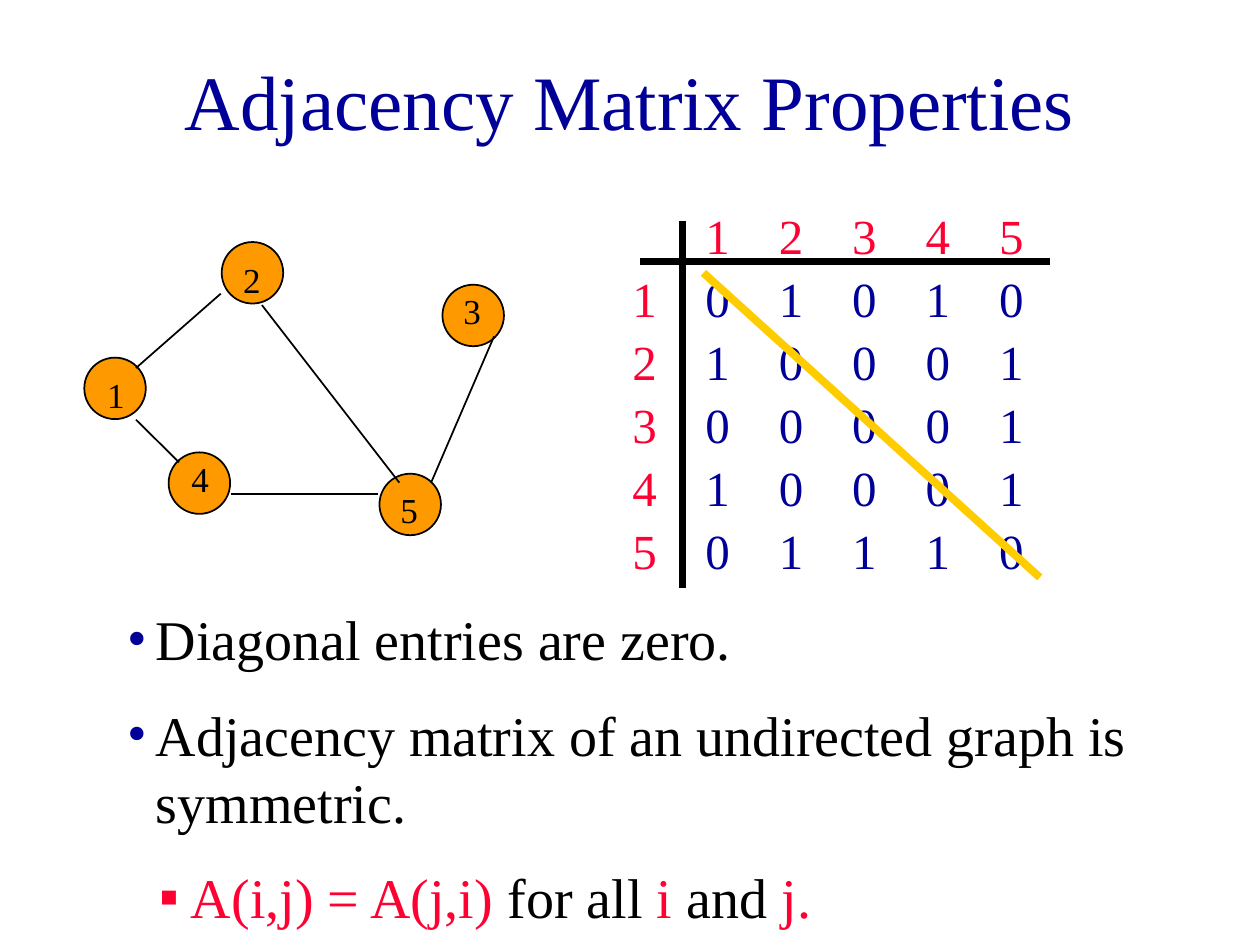
from lxml.etree import SubElement
from pptx import Presentation
from pptx.dml.color import RGBColor
from pptx.enum.shapes import MSO_CONNECTOR, MSO_SHAPE
from pptx.enum.text import MSO_ANCHOR, MSO_AUTO_SIZE, PP_ALIGN
from pptx.oxml.ns import qn
from pptx.util import Cm, Pt

NAVY = RGBColor(0x00, 0x00, 0x99)
RED = RGBColor(0xFF, 0x00, 0x33)
ORANGE = RGBColor(0xFF, 0x99, 0x00)
GOLD = RGBColor(0xFF, 0xCC, 0x00)
BLACK = RGBColor(0x00, 0x00, 0x00)

NODES = {
    "1": ((1.70, 7.21), (1.91, 7.41)),
    "2": ((4.47, 4.88), (4.65, 5.08)),
    "3": ((8.92, 5.74), (9.09, 5.72)),
    "4": ((3.40, 9.12), (3.61, 9.09)),
    "5": ((7.65, 9.55), (7.82, 9.73)),
}
EDGES = [
    ((4.45, 5.92), (2.74, 7.42)),
    ((5.28, 6.15), (8.05, 9.73)),
    ((2.74, 8.46), (3.61, 9.32)),
    ((9.96, 6.78), (8.69, 9.73)),
    ((4.65, 9.96), (7.62, 9.96)),
]
MATRIX = ["01010", "10001", "00001", "10001", "01110"]
MATRIX_LEFT, MATRIX_TOP = 13.97, 5.28
COLUMN_STEP, ROW_STEP = 1.48, 1.27
LABEL_LEFT = 12.5
LABEL_WIDTH, ENTRY_WIDTH, ENTRY_HEIGHT = 1.27, 0.84, 1.45

PROPERTIES = [
    ("•", NAVY, 0.56, 0.56, [("Diagonal entries are zero.", BLACK)]),
    ("•", NAVY, 0.56, 0.56,
     [("Adjacency matrix of an undirected graph is symmetric.", BLACK)]),
    ("▪", RED, 1.27, 0.64,
     [("A(i,j) = A(j,i) ", RED), ("for all", BLACK), (" i ", RED),
      ("and ", BLACK), ("j.", RED)]),
]


class SlideBuilder:
    font_name = "Times New Roman"

    def __init__(self, slide):
        self.slide = slide

    def frame(self, left, top, width, height):
        box = self.slide.shapes.add_textbox(Cm(left), Cm(top), Cm(width), Cm(height))
        box.text_frame.word_wrap = True
        return box.text_frame

    def style(self, paragraph, size, color=None):
        paragraph.font.name = self.font_name
        paragraph.font.size = Pt(size)
        if color is not None:
            paragraph.font.color.rgb = color

    def title(self, text, left, top, width, height):
        frame = self.frame(left, top, width, height)
        frame.vertical_anchor = MSO_ANCHOR.MIDDLE
        heading = frame.paragraphs[0]
        heading.text = text
        heading.alignment = PP_ALIGN.CENTER
        self.style(heading, 44, NAVY)

    def label(self, text, left, top, width, height, size, color):
        frame = self.frame(left, top, width, height)
        frame.auto_size = MSO_AUTO_SIZE.SHAPE_TO_FIT_TEXT
        frame.paragraphs[0].text = text
        self.style(frame.paragraphs[0], size, color)

    def node(self, left, top, diameter=1.24):
        circle = self.slide.shapes.add_shape(
            MSO_SHAPE.OVAL, Cm(left), Cm(top), Cm(diameter), Cm(diameter))
        circle.shadow.inherit = False
        circle.fill.solid()
        circle.fill.fore_color.rgb = ORANGE
        circle.line.color.rgb = BLACK
        circle.line.width = Pt(1)

    def line(self, start, end, color=BLACK, weight=1):
        connector = self.slide.shapes.add_connector(
            MSO_CONNECTOR.STRAIGHT, *map(Cm, start + end))
        connector.line.color.rgb = color
        connector.line.width = Pt(weight)
        SubElement(connector._element.spPr, qn("a:effectLst"))

    def bullets(self, items, left, top, width, height):
        frame = self.frame(left, top, width, height)
        frame.auto_size = MSO_AUTO_SIZE.SHAPE_TO_FIT_TEXT
        for index, (mark, mark_color, margin, hanging, parts) in enumerate(items):
            if index:
                point = frame.add_paragraph()
                point.space_before = Pt(16)
            else:
                point = frame.paragraphs[0]
            properties = point._p.get_or_add_pPr()
            properties.set("marL", str(Cm(margin)))
            properties.set("indent", str(-Cm(hanging)))
            tint = SubElement(properties, qn("a:buClr"))
            SubElement(tint, qn("a:srgbClr"), val=str(mark_color))
            SubElement(properties, qn("a:buFont"), typeface=self.font_name)
            SubElement(properties, qn("a:buChar"), char=mark)
            self.style(point, 32)
            for text, color in parts:
                run = point.add_run()
                run.text = text
                run.font.color.rgb = color


def draw_graph(builder):
    for circle, _ in NODES.values():
        builder.node(*circle)
    for start, end in EDGES:
        builder.line(start, end)
    for name, (_, caption) in NODES.items():
        builder.label(name, *caption, 0.64, 1.09, 20, BLACK)


def draw_matrix(builder):
    for i, entries in enumerate(MATRIX):
        name = str(i + 1)
        column_left = MATRIX_LEFT + i * COLUMN_STEP
        row_top = MATRIX_TOP + i * ROW_STEP
        builder.label(name, column_left, MATRIX_TOP - ROW_STEP,
                      LABEL_WIDTH, ENTRY_HEIGHT, 28, RED)
        builder.label(name, LABEL_LEFT, row_top, LABEL_WIDTH, ENTRY_HEIGHT, 28, RED)
        for j, entry in enumerate(entries):
            builder.label(entry, MATRIX_LEFT + j * COLUMN_STEP, row_top,
                          ENTRY_WIDTH, ENTRY_HEIGHT, 28, NAVY)
    builder.line((12.9, 5.28), (21.16, 5.28), weight=4)
    builder.line((13.76, 4.45), (13.76, 11.85), weight=4)
    builder.line((14.18, 5.5), (20.96, 11.64), GOLD, 4.5)


def main():
    deck = Presentation()
    deck.slide_width, deck.slide_height = Cm(25.4), Cm(19.05)
    builder = SlideBuilder(deck.slides.add_slide(deck.slide_layouts[6]))
    builder.title("Adjacency Matrix Properties", 1.9, 0.43, 21.6, 3.18)
    draw_graph(builder)
    draw_matrix(builder)
    builder.bullets(PROPERTIES, 2.33, 12.07, 22.43, 7.04)
    deck.save("out.pptx")


if __name__ == "__main__":
    main()
